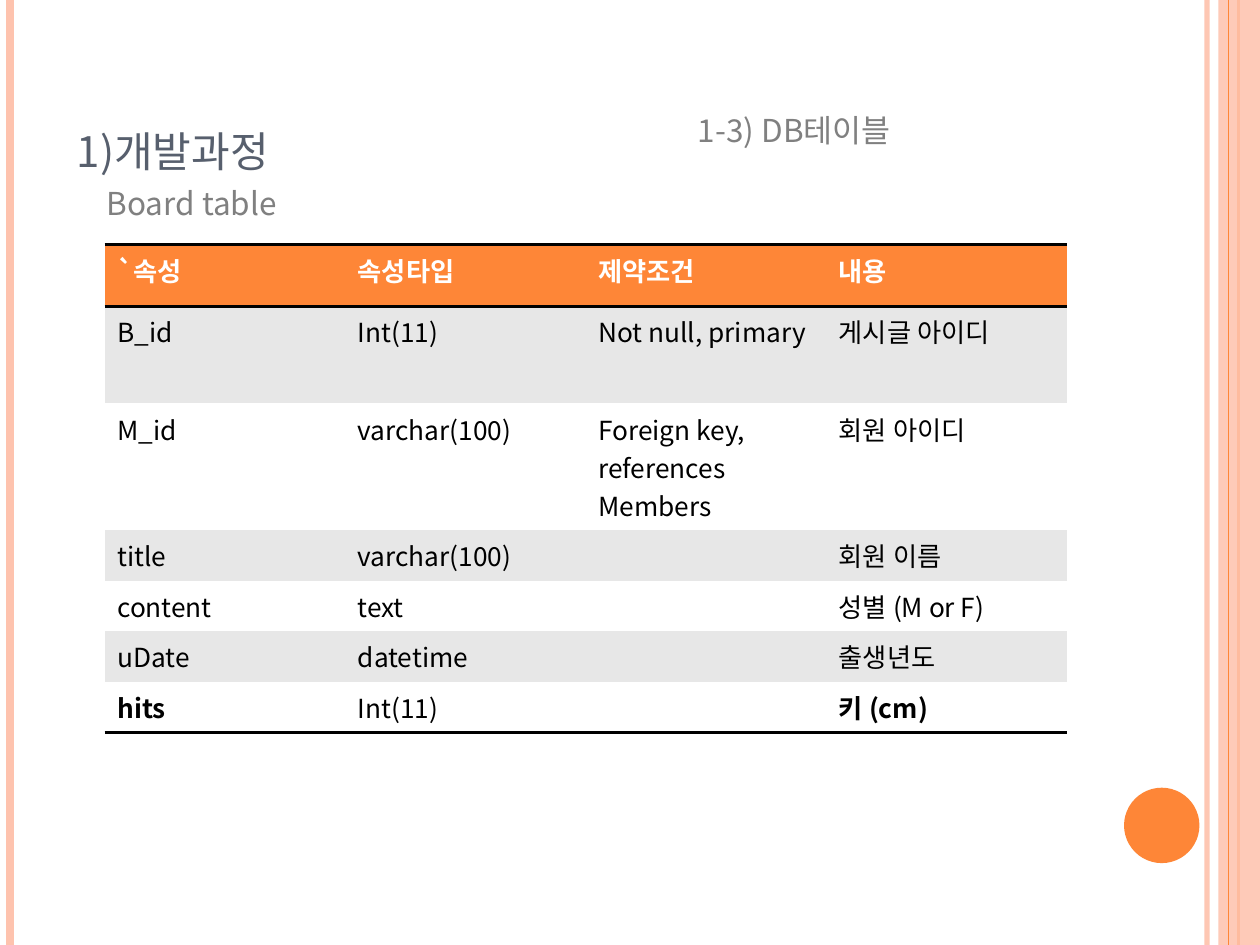
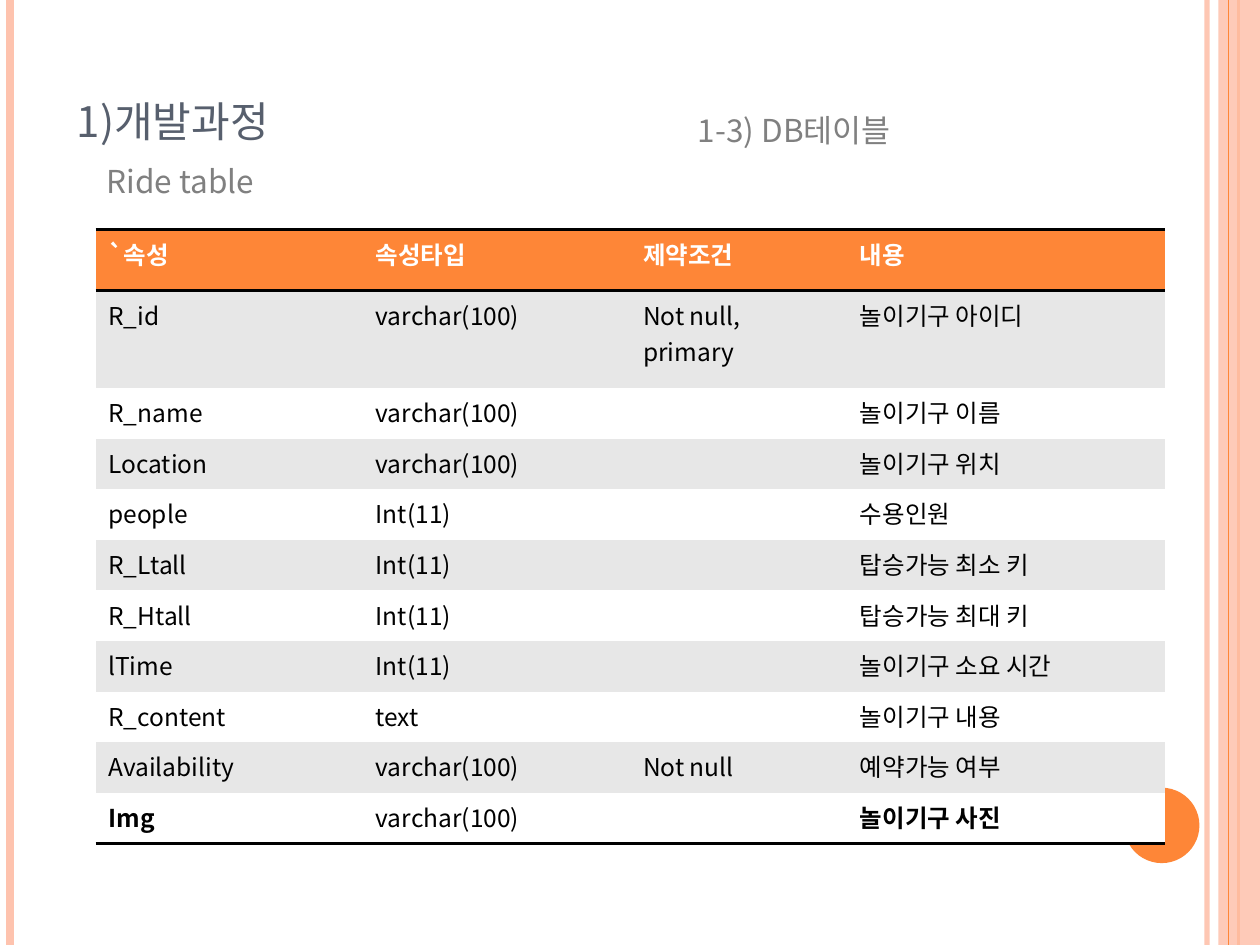
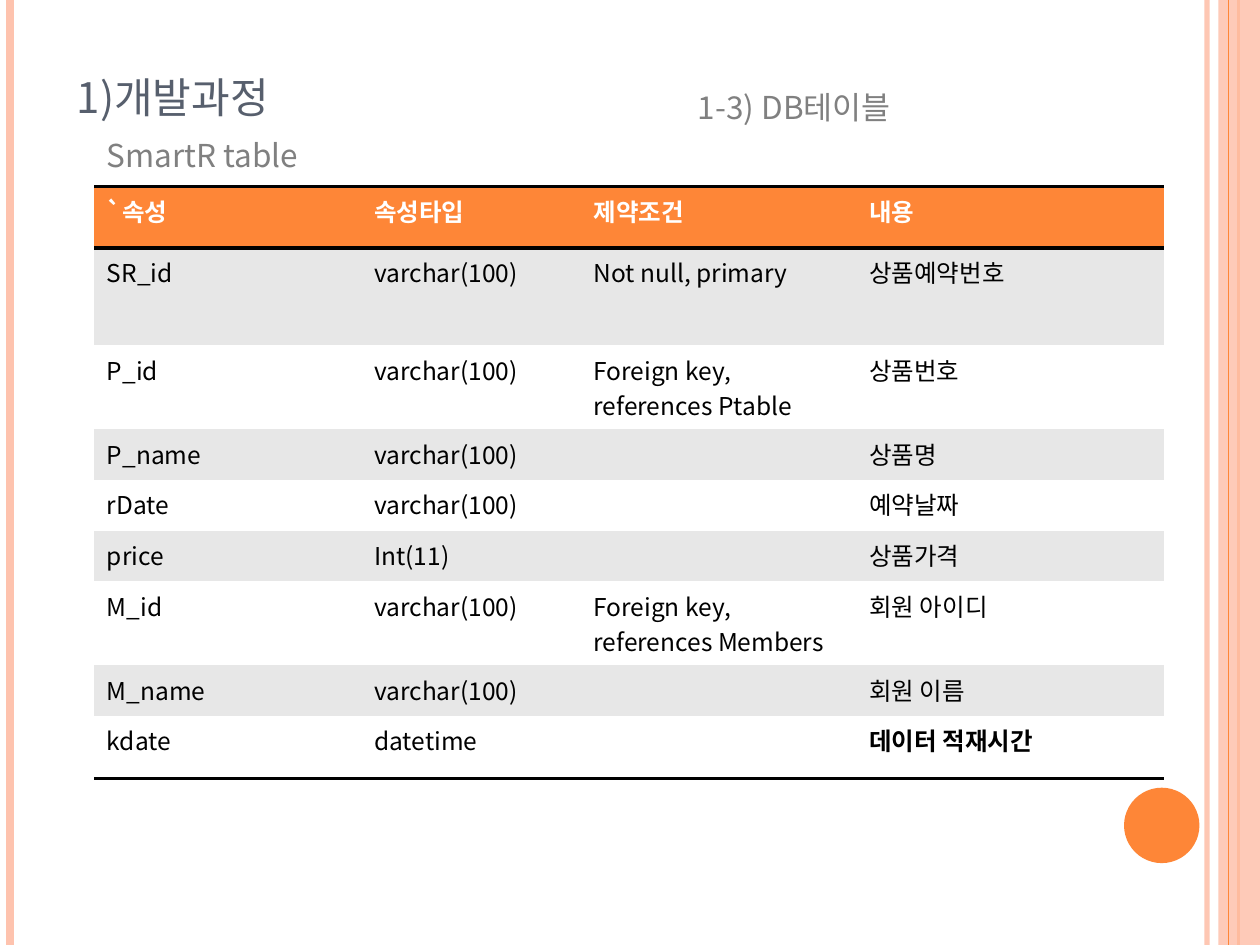
from pptx import Presentation
from pptx.dml.color import RGBColor
from pptx.enum.shapes import MSO_CONNECTOR as Link, MSO_SHAPE as Kind
from pptx.enum.text import MSO_ANCHOR as Anchor, MSO_AUTO_SIZE as Fit
from pptx.oxml.ns import qn
from pptx.util import Cm, Pt
from lxml.etree import SubElement as Sub

WHITE = RGBColor(0xFF, 0xFF, 0xFF)
BLACK = RGBColor(0, 0, 0)
ORANGE = RGBColor(0xFE, 0x86, 0x37)
PEACH = RGBColor(0xFE, 0xC3, 0xAE)
SLATE = RGBColor(0x57, 0x5F, 0x6D)
GRAY = RGBColor(0x80, 0x80, 0x80)
BAND = RGBColor(0xE7, 0xE7, 0xE7)
FONT = "Noto Sans CJK KR"
WIDE, HIGH = 25.4, 19.05
PLAIN = "{2D5ABB26-0587-4C30-8999-92F81FD0307C}"
HEAD = ["`속성", "속성타입", "제약조건", "내용"]
STR, INT = "varchar(100)", "Int(11)"
TOP, TALL, ROW = 1.24, 1.96, 1.02


def write(frame, text, size=18, color=GRAY, bold=False, small=False):
    par = frame.paragraphs[0]
    if not text:
        Sub(par._p, qn("a:endParaRPr"), sz=str(size * 100))
        return
    run = par.add_run()
    run.text = text
    font = run.font
    font.name, font.size, font.bold = FONT, Pt(size), bold
    font.color.rgb = color
    props = run._r.get_or_add_rPr()
    Sub(props, qn("a:ea"), typeface=FONT)
    if small:
        props.set("cap", "small")


def fade(fill, alpha):
    tint = fill._xPr.find(qn("a:solidFill"))[0]
    Sub(tint, qn("a:alpha"), val=str(alpha * 1000))


def rule(cell, *sides):
    props = cell._tc.get_or_add_tcPr()
    for spot, side in enumerate(sides):
        line = Sub(props, qn(f"a:ln{side}"), w=str(Pt(2)))
        tint = Sub(line, qn("a:solidFill"))
        Sub(tint, qn("a:srgbClr"), val=str(BLACK))
        props.insert(spot, line)


class Deck:
    def __init__(self):
        self.prs = Presentation()
        self.prs.slide_width, self.prs.slide_height = Cm(WIDE), Cm(HIGH)

    def start(self):
        self.slide = self.prs.slides.add_slide(self.prs.slide_layouts[6])
        self.shapes = self.slide.shapes
        self.stripe(24.33, PEACH, 3, 93)
        self.stripe(0.2, PEACH, 4.5)
        self.stripe(24.97, ORANGE, 1.5)
        self.shape(Kind.RECTANGLE, (24.56, 0, 0.84, HIGH), PEACH, 87)
        self.stripe(24.77, ORANGE, 0.75)
        self.shape(Kind.OVAL, (22.66, 15.88, 1.52, 1.52), ORANGE)

    def stripe(self, x, color, width, alpha=100):
        line = self.shapes.add_connector(
            Link.STRAIGHT, Cm(x), 0, Cm(x), Cm(HIGH))
        line.line.color.rgb = color
        line.line.width = Pt(width)
        if alpha < 100:
            fade(line.line.fill, alpha)
        Sub(line._element.spPr, qn("a:effectLst"))

    def shape(self, kind, box, color, alpha=100):
        item = self.shapes.add_shape(kind, *map(Cm, box))
        item.shadow.inherit = False
        item.fill.solid()
        item.fill.fore_color.rgb = color
        item.line.fill.background()
        if alpha < 100:
            fade(item.fill, alpha)

    def title(self, text, top):
        box = self.shapes.add_textbox(Cm(1.3), Cm(top), Cm(20.75), Cm(3.18))
        frame = box.text_frame
        frame.word_wrap = True
        frame.vertical_anchor = Anchor.BOTTOM
        write(frame, text, size=30, color=SLATE, small=True)

    def label(self, text, left, top, width):
        box = self.shapes.add_textbox(Cm(left), Cm(top), Cm(width), Cm(ROW))
        frame = box.text_frame
        frame.word_wrap = False
        frame.auto_size = Fit.SHAPE_TO_FIT_TEXT
        write(frame, text)

    def table(self, left, top, cols, highs, rows, size, bold):
        rows = [HEAD] + rows
        last = len(rows) - 1
        item = self.shapes.add_table(
            len(rows), len(cols), Cm(left), Cm(top),
            Cm(sum(cols)), Cm(sum(highs)))
        grid = item.table
        grid._tbl.tblPr.find(qn("a:tableStyleId")).text = PLAIN
        grid.horz_banding = False
        for col, width in zip(grid.columns, cols):
            col.width = Cm(width)
        for r, (row, high) in enumerate(zip(rows, highs)):
            grid.rows[r].height = Cm(high)
            for c, text in enumerate(row):
                cell = grid.cell(r, c)
                cell.fill.solid()
                cell.fill.fore_color.rgb = (
                    ORANGE if r == 0 else BAND if r % 2 else WHITE)
                if r == 0:
                    rule(cell, "T", "B")
                elif r == last:
                    rule(cell, "B")
                write(cell.text_frame, text, size=size,
                      color=BLACK if r else WHITE,
                      bold=r == 0 or (r == last and c in bold))


BOARD = [
    ["B_id", INT, "Not null, primary", "게시글 아이디"],
    ["M_id", STR, "Foreign key, references Members", "회원 아이디"],
    ["title", STR, "", "회원 이름"],
    ["content", "text", "", "성별 (M or F)"],
    ["uDate", "datetime", "", "출생년도"],
    ["hits", INT, "", "키 (cm)"],
]
RIDE = [
    ["R_id", STR, "Not null, primary", "놀이기구 아이디"],
    ["R_name", STR, "", "놀이기구 이름"],
    ["Location", STR, "", "놀이기구 위치"],
    ["people", INT, "", "수용인원"],
    ["R_Ltall", INT, "", "탑승가능 최소 키"],
    ["R_Htall", INT, "", "탑승가능 최대 키"],
    ["lTime", INT, "", "놀이기구 소요 시간"],
    ["R_content", "text", "", "놀이기구 내용"],
    ["Availability", STR, "Not null", "예약가능 여부"],
    ["Img", STR, "", "놀이기구 사진"],
]
SMART = [
    ["SR_id", STR, "Not null, primary", "상품예약번호"],
    ["P_id", STR, "Foreign key, references Ptable", "상품번호"],
    ["P_name", STR, "", "상품명"],
    ["rDate", STR, "", "예약날짜"],
    ["price", INT, "", "상품가격"],
    ["M_id", STR, "Foreign key, references Members", "회원 아이디"],
    ["M_name", STR, "", "회원 이름"],
    ["kdate", "datetime", "", "데이터 적재시간"],
]
PAGES = [
    dict(name="Board table", title=0.53, tag=2.11, sub=3.58, wide=4.32,
         grid=dict(left=2.11, top=4.93, cols=[4.85] * 4, rows=BOARD,
                   highs=[TOP, TALL, 2.54] + [ROW] * 4,
                   size=15, bold=(0, 3))),
    dict(name="Ride table", title=-0.08, tag=2.11, sub=3.15, wide=3.86,
         grid=dict(left=1.93, top=4.62, cols=[5.39, 5.39, 4.37, 6.4],
                   rows=RIDE, highs=[TOP, TALL] + [ROW] * 9,
                   size=14, bold=(0, 3))),
    dict(name="SmartR table", title=-0.56, tag=1.65, sub=2.62, wide=4.72,
         grid=dict(left=1.9, top=3.76, cols=[5.39, 4.42, 5.56, 6.2],
                   rows=SMART, highs=[TOP, TALL] + [ROW] * 6 + [1.27],
                   size=14, bold=(3,))),
]


def main():
    deck = Deck()
    for page in PAGES:
        deck.start()
        deck.table(**page["grid"])
        deck.title("1)개발과정", page["title"])
        deck.label("1-3) DB테이블", 13.82, page["tag"], 4.75)
        deck.label(page["name"], 1.9, page["sub"], page["wide"])
    deck.prs.save("out.pptx")


if __name__ == "__main__":
    main()
